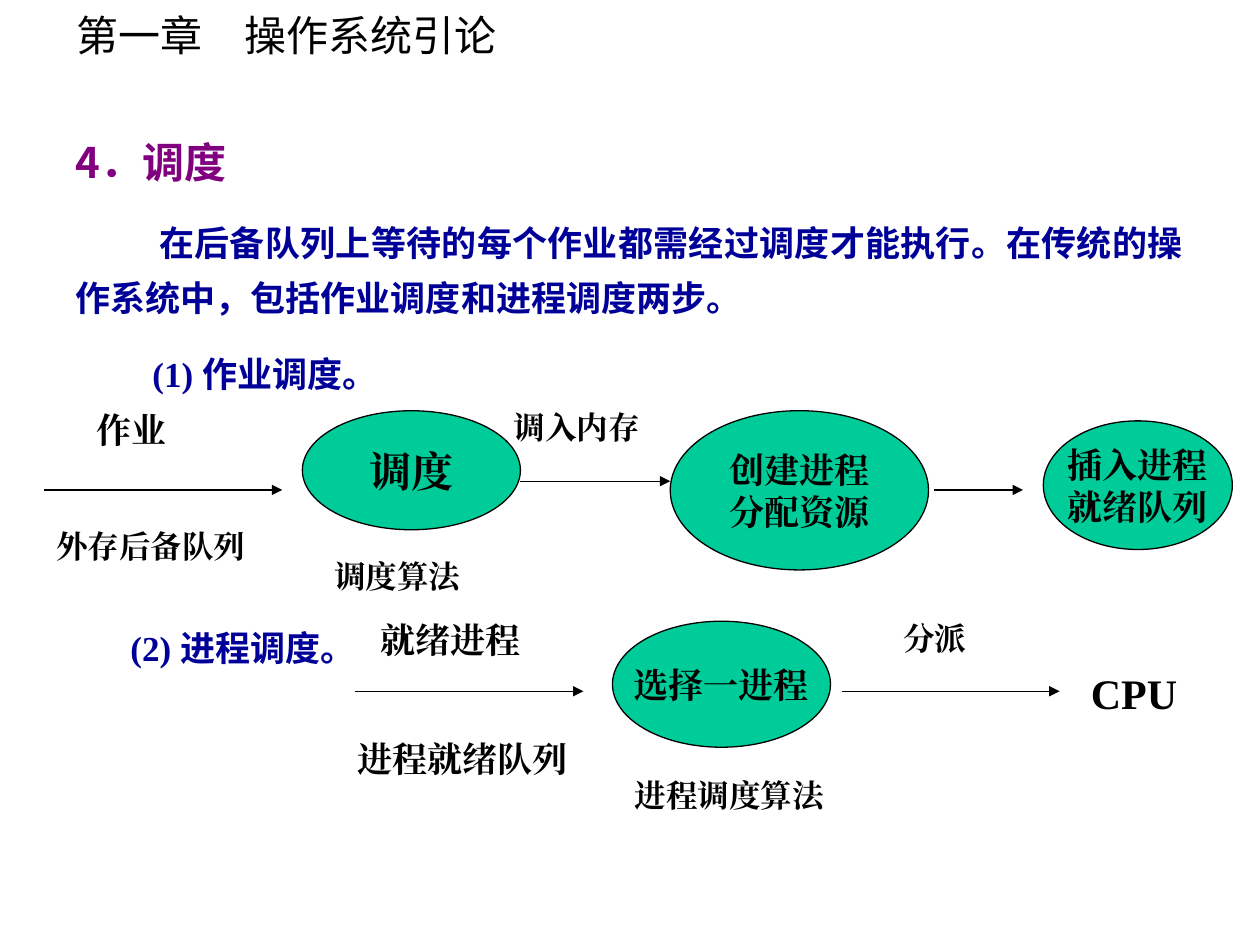
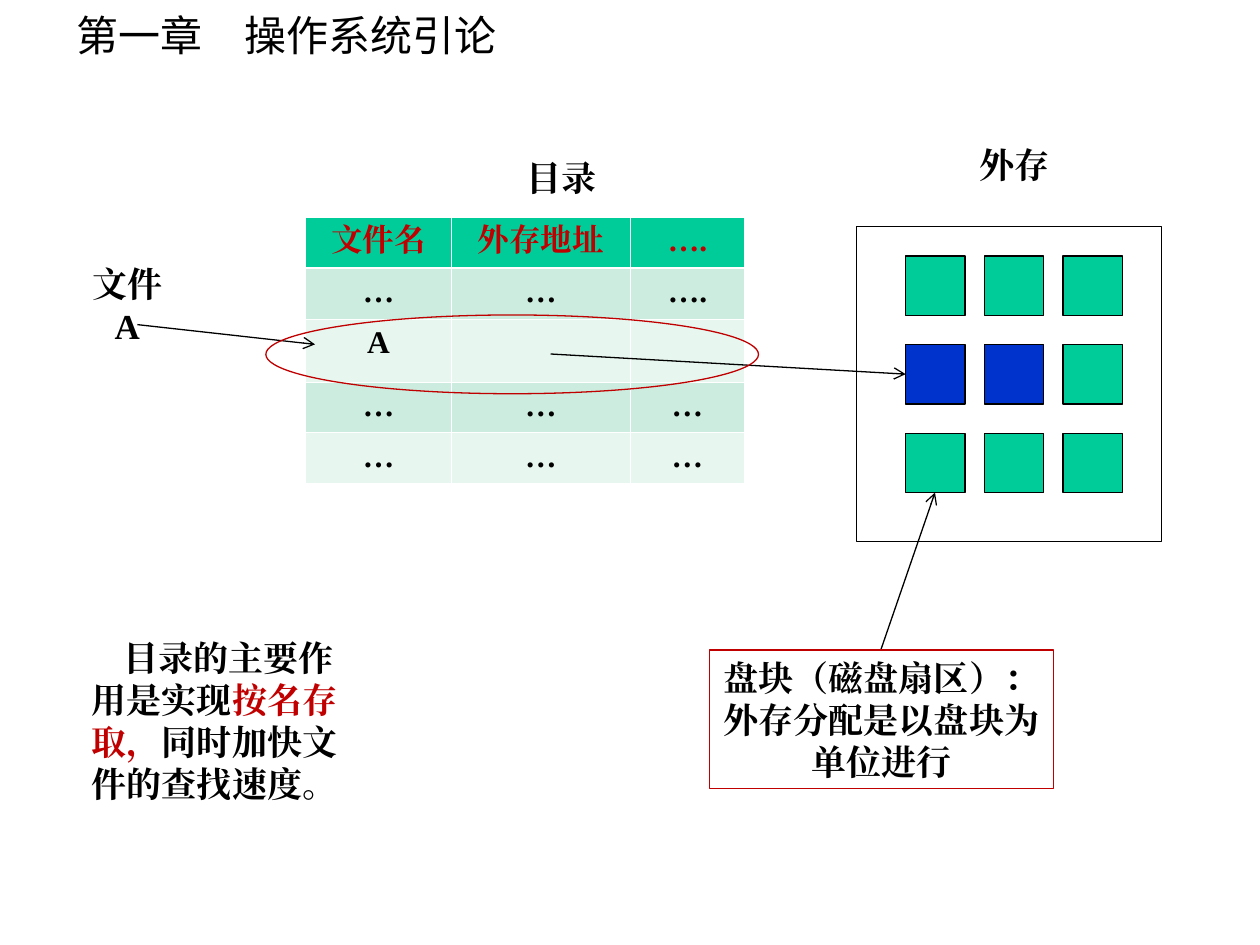
from pptx import Presentation
from pptx.dml.color import RGBColor
from pptx.enum.shapes import MSO_CONNECTOR, MSO_SHAPE
from pptx.enum.text import MSO_ANCHOR, PP_ALIGN
from pptx.oxml.ns import qn
from pptx.util import Pt
from lxml.etree import SubElement

BLACK = RGBColor(0x00, 0x00, 0x00)
WHITE = RGBColor(0xFF, 0xFF, 0xFF)
PURPLE = RGBColor(0x80, 0x00, 0x80)
NAVY = RGBColor(0x00, 0x00, 0x99)
BLUE = RGBColor(0x00, 0x33, 0xCC)
GREEN = RGBColor(0x00, 0xCC, 0x99)
BAND_DARK = RGBColor(0xCB, 0xEC, 0xDE)
BAND_LIGHT = RGBColor(0xE7, 0xF6, 0xEF)
RED = RGBColor(0xC0, 0x00, 0x00)

SERIF = "Times New Roman"
SANS = "Noto Sans CJK SC"
CHAPTER = "第一章　操作系统引论"
LINE_WIDTH = Pt(0.75)


class Deck:
    """Holds the shared style and the current slide."""

    base = {"size": 20, "name": SERIF, "color": BLACK, "bold": True}

    def __init__(self):
        self.prs = Presentation()
        self.prs.slide_width, self.prs.slide_height = Pt(720), Pt(540)
        self.s = None

    def new_slide(self):
        self.s = self.prs.slides.add_slide(self.prs.slide_layouts[6])
        self.text(36.7, 2, 260, 36, [CHAPTER], size=24, name=SANS, bold=False)

    def run(self, p, text, **fmt):
        r = p.add_run()
        r.text = text
        fmt = {**self.base, **fmt}
        r.font.color.rgb = fmt.pop("color")
        fmt["size"] = Pt(fmt["size"])
        for key, value in fmt.items():
            setattr(r.font, key, value)
        SubElement(r._r.get_or_add_rPr(), qn("a:ea")).set("typeface", fmt["name"])

    def paragraph(self, p, content, indent=0, para=None, **fmt):
        """Content is a string or a list of (text, format) runs."""
        for key, value in (para or {}).items():
            setattr(p, key, value)
        if indent:
            p._p.get_or_add_pPr().set("indent", str(Pt(indent)))
        runs = [(content, {})] if isinstance(content, str) else content
        for text, own in runs:
            self.run(p, text, **{**fmt, **own})

    def fill_frame(self, tf, lines, **fmt):
        for i, line in enumerate(lines):
            p = tf.paragraphs[0] if i == 0 else tf.add_paragraph()
            self.paragraph(p, line, **fmt)

    def text(self, x, y, w, h, lines, **fmt):
        tf = self.s.shapes.add_textbox(Pt(x), Pt(y), Pt(w), Pt(h)).text_frame
        tf.word_wrap = True
        self.fill_frame(tf, lines, **fmt)
        return tf

    def shape(self, kind, x, y, w, h, fill=None, line=BLACK, lines=(),
              wrap=False, anchor=MSO_ANCHOR.MIDDLE, **fmt):
        sp = self.s.shapes.add_shape(kind, Pt(x), Pt(y), Pt(w), Pt(h))
        sp.shadow.inherit = False
        if fill is None:
            sp.fill.background()
        else:
            sp.fill.solid()
            sp.fill.fore_color.rgb = fill
        sp.line.color.rgb, sp.line.width = line, LINE_WIDTH
        tf = sp.text_frame
        tf.word_wrap, tf.vertical_anchor = wrap, anchor
        self.fill_frame(tf, lines, para={"alignment": PP_ALIGN.CENTER}, **fmt)

    def arrow(self, x1, y1, x2, y2, head="triangle"):
        c = self.s.shapes.add_connector(
            MSO_CONNECTOR.STRAIGHT, Pt(x1), Pt(y1), Pt(x2), Pt(y2))
        c.line.color.rgb, c.line.width = BLACK, LINE_WIDTH
        SubElement(c.line._get_or_add_ln(), qn("a:tailEnd")).set("type", head)
        SubElement(c._element.spPr, qn("a:effectLst"))

    def borders(self, cell, widths):
        tcPr = cell._tc.get_or_add_tcPr()
        for side, width in widths.items():
            ln = SubElement(tcPr, qn(f"a:ln{side}"), w=str(Pt(width)))
            SubElement(SubElement(ln, qn("a:solidFill")), qn("a:srgbClr"), val=str(WHITE))

    def table(self, x, y, col_widths, row_heights, rows):
        t = self.s.shapes.add_table(
            len(rows), len(col_widths), Pt(x), Pt(y),
            Pt(sum(col_widths)), Pt(sum(row_heights))).table
        for col, width in zip(t.columns, col_widths):
            col.width = Pt(width)
        for i, (row, height) in enumerate(zip(rows, row_heights)):
            t.rows[i].height = Pt(height)
            band = GREEN if i == 0 else BAND_DARK if i % 2 else BAND_LIGHT
            for j, text in enumerate(row):
                cell = t.cell(i, j)
                self.borders(cell, {"L": 0.45, "R": 0.45,
                                    "T": 1.47 if i == 1 else 0.45,
                                    "B": 1.47 if i == 0 else 0.45})
                cell.fill.solid()
                cell.fill.fore_color.rgb = band
                if text:
                    self.paragraph(cell.text_frame.paragraphs[0], text,
                                   para={"alignment": PP_ALIGN.CENTER},
                                   size=18, color=RED if i == 0 else BLACK)


def scheduling_slide(d):
    d.new_slide()

    # Heading, introduction and first step
    loose = {"line_spacing": 1.3}
    spaced = {**loose, "space_before": Pt(12.5)}
    justified = {"alignment": PP_ALIGN.JUSTIFY}
    tf = d.text(36, 66, 647, 170, ["4．调度"], para={**loose, **justified},
                size=24, name=SANS, color=PURPLE)
    d.paragraph(tf.add_paragraph(),
                "在后备队列上等待的每个作业都需经过调度才能执行。"
                "在传统的操作系统中，包括作业调度和进程调度两步。",
                indent=48, para={**spaced, **justified}, name=SANS, color=NAVY)
    d.paragraph(tf.add_paragraph(), [("(1) ", {}), ("作业调度。", {"name": SANS})],
                indent=44, para=spaced, color=NAVY)

    # Second step
    d.text(42.5, 347, 648, 39, [[("(2) ", {}), ("进程调度。", {"name": SANS})]],
           indent=25, para=loose, color=NAVY)

    # Stages
    for x, y, w, h, size, lines in [
        (172.8, 234.7, 124.6, 68, 24, ["调度"]),
        (383, 234.7, 147.6, 91, 20, ["创建进程", "分配资源"]),
        (596.2, 240.5, 108, 73.5, 20, ["插入进程", "就绪队列"]),
        (350, 355, 124.6, 72, 20, ["选择一进程"]),
    ]:
        d.shape(MSO_SHAPE.OVAL, x, y, w, h, fill=GREEN, lines=lines, size=size)

    # Flow arrows
    for x1, x2, y in [(25.2, 161.3, 280), (297.4, 383, 275), (534, 584.6, 280),
                      (203, 333.4, 395), (481, 605.5, 395)]:
        d.arrow(x1, y, x2, y)

    # Labels
    for x, y, w, size, label in [
        (48, 229.7, 91, 20, "作业"),
        (25.2, 297.4, 130, 18, "外存后备队列"),
        (184, 314.6, 130, 18, "调度算法"),
        (286.5, 229.7, 130, 18, "调入内存"),
        (197.3, 417.6, 136, 20, "进程就绪队列"),
        (210.3, 350, 123, 20, "就绪进程"),
        (355.7, 440, 130, 18, "进程调度算法"),
        (509, 350, 130, 18, "分派"),
        (616.3, 378, 100, 24, "CPU"),
    ]:
        d.text(x, y, w, size * 1.2 + 7.2, [label], size=size)


def directory_slide(d):
    d.new_slide()
    centred = {"alignment": PP_ALIGN.CENTER}

    # Disk with its blocks
    d.shape(MSO_SHAPE.RECTANGLE, 489.6, 129.6, 174.2, 180)
    used = {(1, 0), (1, 1)}
    for row in range(3):
        for col in range(3):
            d.shape(MSO_SHAPE.RECTANGLE, 517.5 + 45 * col, 146.2 + 50.7 * row, 34, 34,
                    fill=BLUE if (row, col) in used else GREEN)

    # Note on disk blocks
    d.arrow(503.3, 371.5, 534.3, 281.5, head="arrow")
    d.shape(MSO_SHAPE.RECTANGLE, 405.4, 371.5, 196.6, 79.2, fill=WHITE, line=RED,
            lines=["盘块（磁盘扇区）：外存分配是以盘块为单位进行"],
            wrap=True, anchor=MSO_ANCHOR.TOP)

    # Directory table
    d.table(174.6, 124.2, [83.5, 102, 65.5], [29, 29, 36, 29, 29], [
        ["文件名", "外存地址", "…."],
        ["…", "…", "…."],
        ["A", "", ""],
        ["…", "…", "…"],
        ["…", "…", "…"],
    ])

    # Captions
    for x, y, h, lines in [(523.4, 78.5, 31.5, ["外存"]),
                           (16.6, 146.2, 55.5, ["文件", "A"]),
                           (265, 85.7, 31.5, ["目录"])]:
        d.text(x, y, 112.3, h, lines, para=centred)

    # Lookup path through the highlighted entry
    d.arrow(78.5, 185.5, 180, 196.8, head="arrow")
    d.arrow(314.6, 202.3, 517.5, 213.8, head="arrow")
    d.shape(MSO_SHAPE.OVAL, 151.9, 180, 281.5, 45, line=RED)

    # Purpose of the directory
    d.text(45.4, 360, 168.5, 103.7, [[
        ("目录的主要作用是实现", {}),
        ("按名存取，", {"color": RED}),
        ("同时加快文件的查找速度。", {}),
    ]], indent=18)


def main():
    d = Deck()
    scheduling_slide(d)
    directory_slide(d)
    d.prs.save("out.pptx")


if __name__ == "__main__":
    main()
